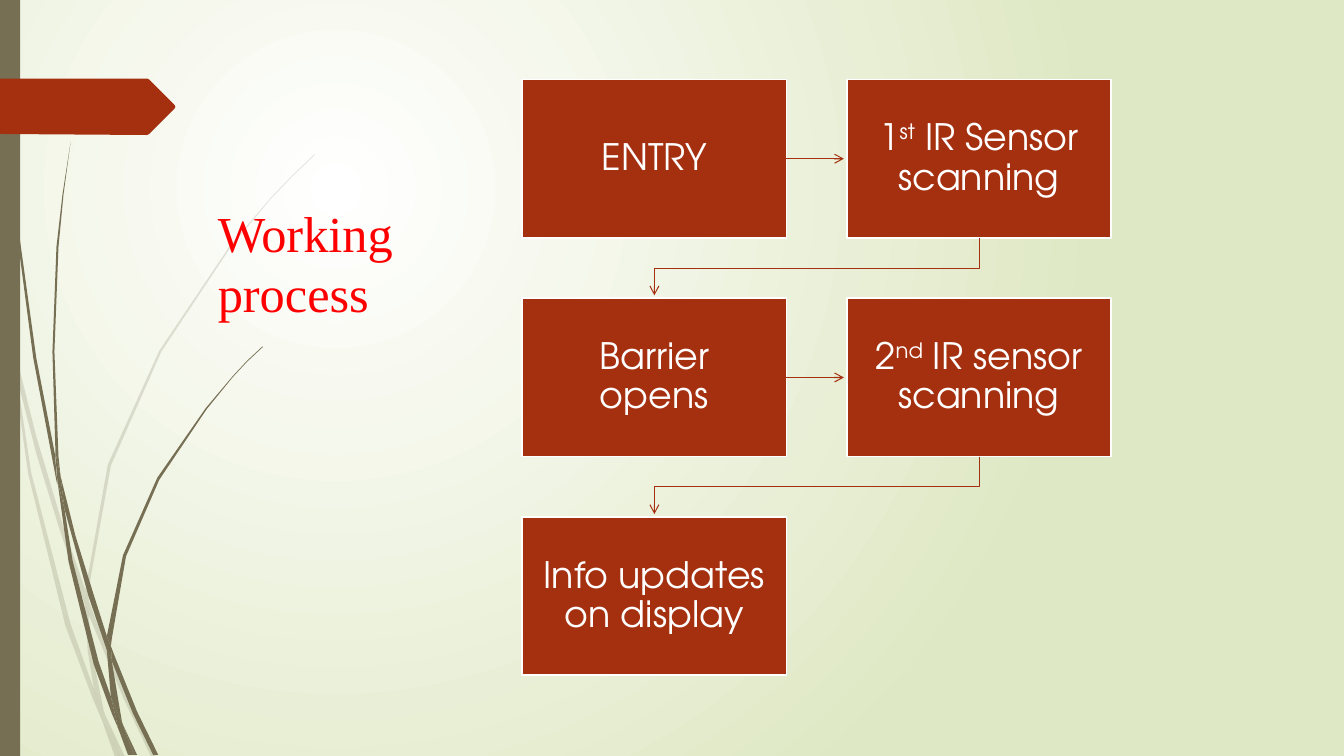
from lxml import etree
from pptx import Presentation
from pptx.dml.color import RGBColor
from pptx.enum.dml import MSO_THEME_COLOR
from pptx.enum.shapes import MSO_CONNECTOR, MSO_SHAPE
from pptx.enum.text import MSO_ANCHOR, MSO_AUTO_SIZE, PP_ALIGN
from pptx.oxml import parse_xml
from pptx.oxml.ns import nsdecls, qn
from pptx.util import Inches, Pt

COLORS = {"rust": "A53010", "olive": "766F54", "white": "FFFFFF",
          "pale": "DFE8C4", "red": "FF0000"}

BOX_W, BOX_H = 2.62, 1.57
LEFT, TOP = 5.18, 0.79
COL_STEP, ROW_STEP = 3.22, 2.17
ARROW_GAP = 0.03

# Each step is a list of (text, is_superscript) runs, filled row by row.
STEPS = [
    [("ENTRY", False)],
    [("1", False), ("st", True), (" IR Sensor scanning", False)],
    [("Barrier opens", False)],
    [("2", False), ("nd", True), (" IR sensor scanning", False)],
    [("Info updates on display", False)],
]

LIGHT_WISPS = [
    [(0.11, 3.5), (0.09, 3.22), (0, 2.82), (0, 2.99), (0.1, 3.44)],
    [(0.58, 5.22), (0.84, 5.99), (0.85, 5.86), (0.62, 5.2), (0.36, 4.33),
     (0.14, 3.45), (0.17, 3.76), (0.36, 4.5)],
    [(0.92, 6.07), (0.88, 5.96), (0.88, 6.1), (1.23, 6.94), (1.5, 7.51),
     (1.55, 7.51), (1.27, 6.92)],
    [(1.19, 7.51), (1.24, 7.51), (1.05, 7.11)],
    [(0.93, 6.83), (0.7, 6.19), (0.31, 4.69), (0.17, 3.76), (0.11, 3.5),
     (0.28, 4.7), (0.65, 6.21), (0.92, 6.93), (1.01, 7.14), (0.99, 7.07)],
    [(0.84, 5.99), (0.87, 6.46), (0.93, 6.83), (0.96, 6.92), (1.05, 7.11),
     (1.03, 7.06), (0.91, 6.46), (0.88, 6.1), (0.88, 6.08)],
    [(0.88, 5.84), (1.1, 4.62), (1.6, 3.49), (2.29, 2.45), (2.68, 1.98),
     (2.9, 1.75), (3.12, 1.54), (3.12, 1.53), (2.89, 1.75), (2.68, 1.97),
     (2.28, 2.44), (1.58, 3.48), (1.07, 4.61), (0.85, 5.84), (0.85, 5.86),
     (0.88, 5.96)],
    [(1.01, 7.14), (1.14, 7.51), (1.19, 7.51)],
    [(0.88, 6.08), (0.88, 6.1), (0.88, 5.96), (0.85, 5.86), (0.84, 5.99)],
    [(0.96, 6.92), (0.93, 6.83), (0.99, 7.07), (1.01, 7.14), (1.19, 7.51),
     (1.05, 7.11)],
]

DARK_WISPS = [
    [(0.07, 1.1), (0.17, 2.33), (0.33, 3.55), (0.56, 4.77), (0.57, 4.81),
     (0.55, 4.57), (0.55, 4.53), (0.36, 3.55), (0.19, 2.32), (0.08, 1.09),
     (0.05, 0.48), (0.04, 0), (0.03, 0), (0.04, 0.48)],
    [(0.88, 5.92), (1.06, 6.45), (1.06, 6.33), (1.06, 6.31), (0.93, 5.9),
     (0.75, 5.32), (0.6, 4.72), (0.64, 5.05)],
    [(1.13, 6.49), (1.1, 6.41), (1.11, 6.56), (1.32, 7.08), (1.52, 7.49),
     (1.57, 7.49), (1.36, 7.06)],
    [(1.1, 6.91), (0.98, 6.57), (0.72, 5.56), (0.64, 5.05), (0.57, 4.77),
     (0.68, 5.57), (0.93, 6.59), (1.11, 7.08), (1.17, 7.22), (1.16, 7.17)],
    [(0.6, 4.72), (0.58, 4.53), (0.54, 3.49), (0.58, 2.45), (0.63, 1.93),
     (0.7, 1.41), (0.62, 1.93), (0.56, 2.45), (0.52, 3.49), (0.55, 4.49)],
    [(1.33, 7.49), (1.36, 7.49), (1.22, 7.19)],
    [(0.57, 4.77), (0.64, 5.05), (0.6, 4.72), (0.55, 4.49), (0.55, 4.53)],
    [(1.11, 6.33), (1.25, 5.52), (1.58, 4.76), (2.05, 4.06), (2.31, 3.74),
     (2.45, 3.59), (2.61, 3.44), (2.6, 3.44), (2.45, 3.58), (2.31, 3.73),
     (2.04, 4.05), (1.56, 4.74), (1.22, 5.51), (1.06, 6.31), (1.1, 6.41)],
    [(1.17, 7.22), (1.27, 7.49), (1.31, 7.49)],
    [(1.06, 6.45), (1.1, 6.91), (1.16, 7.06), (1.22, 7.19), (1.21, 7.16),
     (1.11, 6.56), (1.09, 6.51)],
    [(1.06, 6.45), (1.09, 6.51), (1.11, 6.56), (1.1, 6.41), (1.06, 6.31)],
    [(1.16, 7.06), (1.1, 6.91), (1.16, 7.17), (1.17, 7.22), (1.3, 7.49),
     (1.33, 7.49), (1.22, 7.19)],
]

TAG = [(0, 0.78), (1.46, 0.78), (1.48, 0.79), (1.73, 1.04), (1.74, 1.06),
       (1.73, 1.08), (1.48, 1.33), (1.46, 1.34), (0, 1.33)]


def rgb(name):
    return RGBColor.from_string(COLORS[name])


def set_background(s):
    """Fill the slide with a radial gradient centred in its upper left."""
    stops = "".join(
        f'<a:gs pos="{pos}"><a:srgbClr val="{COLORS[name]}"/></a:gs>'
        for pos, name in ((0, "white"), (100000, "pale")))
    s.background.fill.solid()
    bg_pr = s.background._cSld.bg.bgPr
    bg_pr.replace(bg_pr[0], parse_xml(
        f'<a:gradFill {nsdecls("a")} rotWithShape="1"><a:gsLst>{stops}</a:gsLst>'
        '<a:path path="circle"><a:fillToRect l="50000" t="50000" r="100000" '
        'b="100000"/></a:path></a:gradFill>'))


def add_outline(s, points, closed=True):
    pts = [(Inches(x), Inches(y)) for x, y in points]
    builder = s.shapes.build_freeform(*pts[0], scale=1.0)
    builder.add_line_segments(pts[1:], close=closed)
    sp = builder.convert_to_shape()
    sp.shadow.inherit = False
    return sp


def paint(sp, fill, opacity=100):
    sp.fill.solid()
    sp.fill.fore_color.rgb = rgb(fill)
    sp.line.fill.background()
    if opacity < 100:
        color = sp._element.spPr.find(qn("a:solidFill"))[0]
        etree.SubElement(color, qn("a:alpha"), val=str(opacity * 1000))


def add_rect(s, x, y, w, h, fill):
    sp = s.shapes.add_shape(MSO_SHAPE.RECTANGLE,
                            *(Inches(v) for v in (x, y, w, h)))
    sp.shadow.inherit = False
    paint(sp, fill)
    return sp


def add_title(s, text):
    sp = s.shapes.title
    s.shapes._spTree.append(sp._element)
    frame = {"left": 2.06, "top": 1.96, "width": 2.55, "height": 1.68}
    for name, value in frame.items():
        setattr(sp, name, Inches(value))
    tf = sp.text_frame
    tf.text = text
    tf.word_wrap = True
    tf.auto_size = MSO_AUTO_SIZE.NONE
    tf.vertical_anchor = MSO_ANCHOR.TOP
    p = tf.paragraphs[0]
    p.alignment = PP_ALIGN.LEFT
    p.line_spacing = Pt(43)
    for r in p.runs:
        r.font.name, r.font.size = "Times New Roman", Pt(36)
        r.font.color.rgb = rgb("red")


def add_step(s, x, y, runs):
    sp = add_rect(s, x, y, BOX_W, BOX_H, "rust")
    sp.line.color.rgb = rgb("white")
    sp.line.width = Pt(1.25)
    tf = sp.text_frame
    tf.word_wrap = True
    tf.vertical_anchor = MSO_ANCHOR.MIDDLE
    for side in ("left", "right", "top", "bottom"):
        setattr(tf, f"margin_{side}", Inches(0.2))
    p = tf.paragraphs[0]
    p.alignment = PP_ALIGN.CENTER
    p.line_spacing = 0.9
    for text, is_superscript in runs:
        r = p.add_run()
        r.text = text
        r.font.name, r.font.size = "TeX Gyre Adventor", Pt(26)
        r.font.color.rgb = rgb("white")
        if is_superscript:
            r._r.get_or_add_rPr().set("baseline", "30000")


def add_arrow(s, points):
    """Draw an arrow: a connector for two points, a bent outline for more."""
    if len(points) == 2:
        ends = [Inches(v) for point in points for v in point]
        sp = s.shapes.add_connector(MSO_CONNECTOR.STRAIGHT, *ends)
        etree.SubElement(sp._element.spPr, qn("a:effectLst"))
    else:
        sp = add_outline(s, points, closed=False)
        sp.fill.background()
    sp.line.color.rgb = rgb("rust")
    sp.line.width = Pt(0.75)
    etree.SubElement(sp.line._get_or_add_ln(), qn("a:tailEnd"), type="arrow")


def add_flow(s):
    for i, runs in enumerate(STEPS):
        row, col = divmod(i, 2)
        x, y = LEFT + col * COL_STEP, TOP + row * ROW_STEP
        add_step(s, x, y, runs)
        if i == len(STEPS) - 1:
            continue
        if col == 0:
            mid = y + BOX_H / 2
            add_arrow(s, [(x + BOX_W, mid), (x + COL_STEP - ARROW_GAP, mid)])
        else:
            start, end = x + BOX_W / 2, LEFT + BOX_W / 2
            bottom, bend = y + BOX_H, y + (BOX_H + ROW_STEP) / 2
            add_arrow(s, [(start, bottom), (start, bend), (end, bend),
                          (end, y + ROW_STEP - ARROW_GAP)])


def main():
    prs = Presentation()
    prs.slide_width, prs.slide_height = Inches(13.33), Inches(7.5)
    s = prs.slides.add_slide(prs.slide_layouts[5])
    set_background(s)
    for wisps, opacity in ((LIGHT_WISPS, 20), (DARK_WISPS, 100)):
        for points in wisps:
            paint(add_outline(s, points), "olive", opacity)
    add_rect(s, 0, 0, 0.2, 7.5, "olive")
    paint(add_outline(s, TAG), "rust")
    add_title(s, "Working\vprocess")
    add_flow(s)
    prs.save("out.pptx")


if __name__ == "__main__":
    main()
